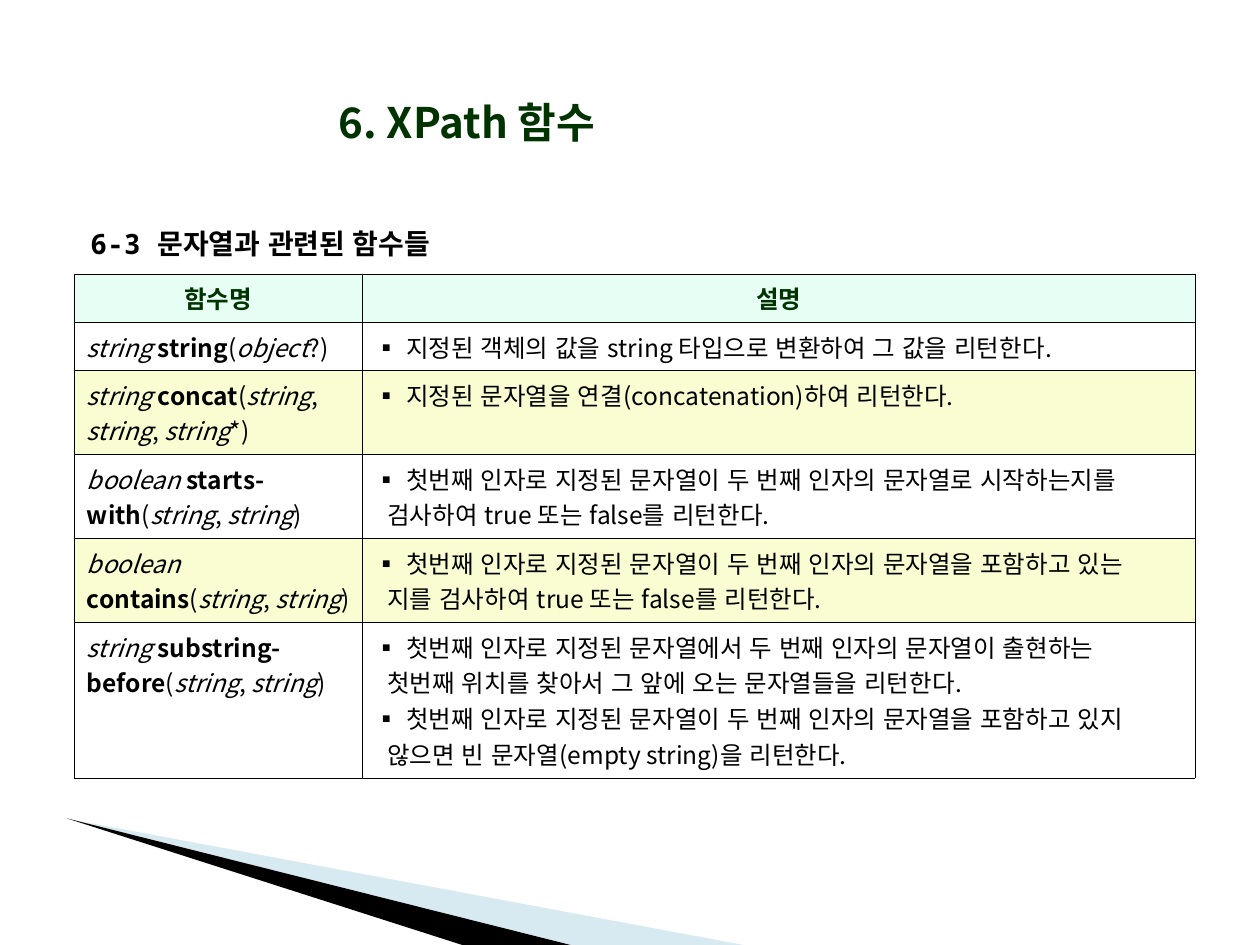
from dataclasses import dataclass
from lxml.etree import SubElement
from pptx import Presentation
from pptx.dml.color import RGBColor as RGB
from pptx.enum.lang import MSO_LANGUAGE_ID as Lang
from pptx.enum.text import MSO_ANCHOR as Anchor, PP_ALIGN as Align
from pptx.oxml import parse_xml
from pptx.oxml.ns import nsdecls, qn
from pptx.util import Inches, Pt

W, H = 10, 7.5


@dataclass(frozen=True)
class Theme:
    font: str = "Noto Sans CJK KR"
    mono: str = "Noto Sans Mono"
    title: int = 24
    heading: int = 16
    body: int = 14
    green: str = "003300"
    black: str = "000000"
    header: str = "E6FEF4"
    band: str = "F9FDD1"
    wedge: str = "9FCBDC"
    border: float = 0.45


T = Theme()
TITLE = "6. XPath 함수"
HEADING = "6-3 문자열과 관련된 함수들"
HEADER = ("함수명", "설명")
FUNCTIONS = [
    (("string", "string", ["object?"]), 1,
     [["지정된 객체의 값을 string 타입으로 변환하여 그 값을 리턴한다."]]),
    (("string", "concat", ["string", "string", "string*"]), 2,
     [["지정된 문자열을 연결(concatenation)하여 리턴한다."]]),
    (("boolean", "starts-with", ["string", "string"]), 2,
     [["첫번째 인자로 지정된 문자열이 두 번째 인자의 문자열로 시작하는지를",
       "검사하여 true 또는 false를 리턴한다."]]),
    (("boolean", "contains", ["string", "string"]), 2,
     [["첫번째 인자로 지정된 문자열이 두 번째 인자의 문자열을 포함하고 있는",
       "지를 검사하여 true 또는 false를 리턴한다."]]),
    (("string", "substring-before", ["string", "string"]), 4,
     [["첫번째 인자로 지정된 문자열에서 두 번째 인자의 문자열이 출현하는",
       "첫번째 위치를 찾아서 그 앞에 오는 문자열들을 리턴한다."],
      ["첫번째 인자로 지정된 문자열이 두 번째 인자의 문자열을 포함하고 있지",
       "않으면 빈 문자열(empty string)을 리턴한다."]]),
]
WEDGES = [
    ([(5.5, 86.7), (59, 100), (45.3, 100)], T.wedge, 40),
    ([(5.3, 86.6), (45.3, 100), (36.7, 100)], T.black, 100),
]
TITLE_BOX = (16.9, 4.5, 40.3, 16.7)
HEADING_BOX = (5, 23.3, 90.7, 5.7)
TABLE_AT = (5.9, 29)
COLUMNS = (22.85, 66.1)
LINE, PADDING = 20.5, 7


def across(share):
    return Inches(share * W / 100)


def down(share):
    return Inches(share * H / 100)


def style(p, size, color=T.black, bold=False, name=T.font, align=Align.LEFT):
    p.alignment = align
    f = p.font
    f.size, f.bold, f.name = Pt(size), bold, name
    f.color.rgb = RGB.from_string(color)
    f.language_id = Lang.KOREAN
    props = p._p.pPr.find(qn("a:defRPr"))
    props.set("kern", "1200")
    SubElement(props, qn("a:ea"), typeface=T.font)
    for r in p.runs:
        r.font.language_id = Lang.KOREAN
        r._r.get_or_add_rPr().set("kern", "1200")


def add_wedge(s, points, color, alpha):
    points = [(across(x), down(y)) for x, y in points]
    builder = s.shapes.build_freeform(*points[0])
    builder.add_line_segments(points[1:], close=True)
    sp = builder.convert_to_shape()
    sp.shadow.inherit = False
    sp.line.fill.background()
    sp.fill.solid()
    sp.fill.fore_color.rgb = RGB.from_string(color)
    if alpha < 100:
        clr = sp.fill._xPr.find(qn("a:solidFill"))[0]
        SubElement(clr, qn("a:alpha"), val=str(alpha * 1000))


def add_text(s, box, text):
    x, y, w, h = box
    tf = s.shapes.add_textbox(across(x), down(y), across(w), down(h)).text_frame
    tf.word_wrap = True
    p = tf.paragraphs[0]
    p.add_run().text = text
    return tf, p


def format_cell(cell, fill):
    pr = cell._tc.get_or_add_tcPr()
    for side in ("lnL", "lnR", "lnT", "lnB"):
        pr.append(parse_xml(
            f'<a:{side} {nsdecls("a")} w="{Pt(T.border)}"><a:solidFill>'
            f'<a:srgbClr val="{T.black}"/></a:solidFill></a:{side}>'))
    if fill:
        cell.fill.solid()
        cell.fill.fore_color.rgb = RGB.from_string(fill)
    else:
        cell.fill.background()


def write_signature(cell, result, name, args):
    runs = [(result + " ", "i"), (name, "b"), ("(", "")]
    for i, arg in enumerate(args):
        word = arg.rstrip("?*")
        end = ")" if i == len(args) - 1 else ", "
        runs += [(word, "i"), (arg[len(word):] + end, "")]
    p = cell.text_frame.paragraphs[0]
    for text, look in runs:
        r = p.add_run()
        r.text = text
        r.font.italic, r.font.bold = look == "i", look == "b"
    style(p, T.body)


def write_description(cell, items):
    tf = cell.text_frame
    lines = [(i, line) for item in items for i, line in enumerate(item)]
    for n, (i, line) in enumerate(lines):
        p = tf.add_paragraph() if n else tf.paragraphs[0]
        p.add_run().text = line if i else "▪ " + line
        if i:
            p._p.get_or_add_pPr().set("marL", str(Inches(0.1)))
        style(p, T.body)


def add_function_table(s):
    counts = [1] + [count for _, count, _ in FUNCTIONS]
    heights = [Pt(PADDING + LINE * n) for n in counts]
    widths = [across(c) for c in COLUMNS]
    x, y = TABLE_AT
    table = s.shapes.add_table(len(heights), len(widths), across(x), down(y),
                               sum(widths), sum(heights)).table
    table.first_row = table.horz_banding = False
    for col, w in zip(table.columns, widths):
        col.width = w
    for n, (row, h) in enumerate(zip(table.rows, heights)):
        row.height = h
        fill = T.header if n == 0 else T.band if n % 2 == 0 else None
        for cell in row.cells:
            format_cell(cell, fill)
    for cell, text in zip(table.rows[0].cells, HEADER):
        p = cell.text_frame.paragraphs[0]
        p.add_run().text = text
        style(p, T.body, T.green, True, align=Align.CENTER)
    for n, (signature, _, items) in enumerate(FUNCTIONS, 1):
        write_signature(table.cell(n, 0), *signature)
        write_description(table.cell(n, 1), items)


def main():
    prs = Presentation()
    prs.slide_width, prs.slide_height = Inches(W), Inches(H)
    s = prs.slides.add_slide(prs.slide_layouts[6])
    for wedge in WEDGES:
        add_wedge(s, *wedge)
    _, p = add_text(s, HEADING_BOX, HEADING)
    pr = p._p.get_or_add_pPr()
    pr.set("marL", str(Inches(0.4)))
    pr.set("indent", str(Inches(-0.28)))
    style(p, T.heading, bold=True, name=T.mono, align=Align.JUSTIFY)
    add_function_table(s)
    tf, p = add_text(s, TITLE_BOX, TITLE)
    tf.vertical_anchor = Anchor.MIDDLE
    style(p, T.title, T.green, True, align=Align.CENTER)
    prs.save("out.pptx")


if __name__ == "__main__":
    main()
